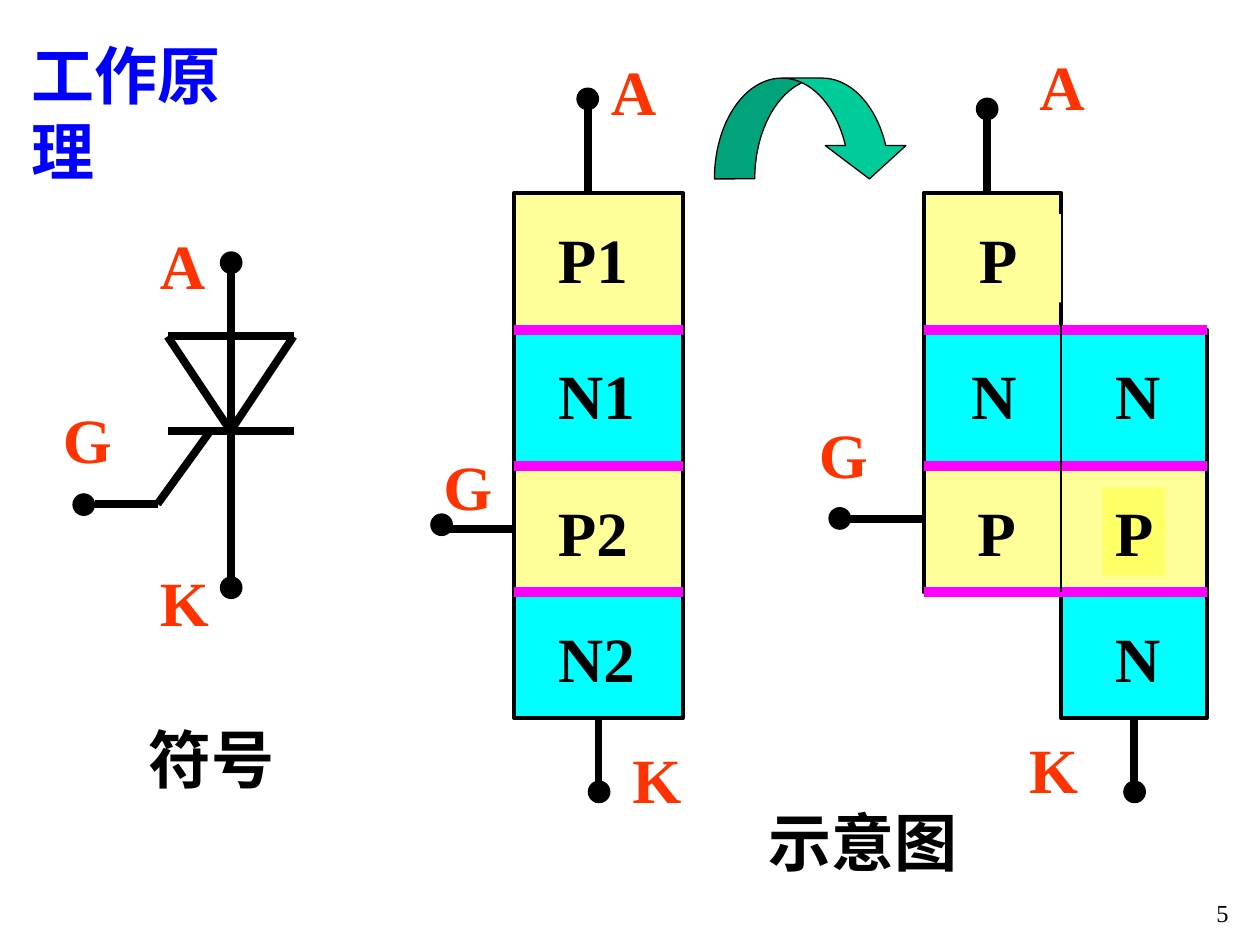
from pptx import Presentation
from pptx.dml.color import RGBColor
from pptx.enum.shapes import MSO_CONNECTOR, MSO_SHAPE
from pptx.enum.text import MSO_ANCHOR, PP_ALIGN
from pptx.oxml.ns import qn
from pptx.util import Inches, Pt
from lxml.etree import SubElement

FONT = "Times New Roman"
BLACK, RED, BLUE = "000000", "FF3300", "0000FF"
YELLOW, BRIGHT_YELLOW, CYAN = "FFFF99", "FFFF66", "00FFFF"
MAGENTA, GREEN = "FF00FF", "00CC99"
DOT_SIZE = 0.17
TEXT_HEIGHT = 0.7
LAYER_EDGES = [1.53, 2.62, 3.7, 4.7, 5.7]
LABEL_TOPS = [1.7, 2.78, 3.87, 4.87]


def rgb(color):
    return RGBColor.from_string(color)


def inches(*values):
    return [Inches(v) for v in values]


def write(sp, text, color, size=36, bold=True, wrap=False, align=PP_ALIGN.LEFT):
    tf = sp.text_frame
    tf.text = text
    tf.word_wrap = wrap
    tf.vertical_anchor = MSO_ANCHOR.TOP
    p = tf.paragraphs[0]
    p.alignment = align
    font = p.runs[0].font
    font.name, font.size, font.bold = FONT, Pt(size), bold
    font.color.rgb = rgb(color)


def add_text(shapes, text, left, top, width, color=BLACK, fill=None):
    sp = shapes.add_textbox(*inches(left, top, width, TEXT_HEIGHT))
    if fill:
        sp.fill.solid()
        sp.fill.fore_color.rgb = rgb(fill)
    write(sp, text, color)


def add_terminal_names(shapes, places):
    for name, left, top in places:
        add_text(shapes, name, left, top, 0.59, RED)


def add_line(shapes, x1, y1, x2, y2, color=BLACK, width=4.5):
    line = shapes.add_connector(MSO_CONNECTOR.STRAIGHT, *inches(x1, y1, x2, y2))
    line.line.color.rgb = rgb(color)
    line.line.width = Pt(width)
    SubElement(line._element.spPr, qn("a:effectLst"))


def add_filled(shapes, kind, left, top, width, height, fill, line_width=0.75):
    sp = shapes.add_shape(kind, *inches(left, top, width, height))
    sp.shadow.inherit = False
    sp.fill.solid()
    sp.fill.fore_color.rgb = rgb(fill)
    sp.line.color.rgb = rgb(BLACK)
    sp.line.width = Pt(line_width)
    return sp


def add_dots(shapes, places):
    for left, top in places:
        add_filled(shapes, MSO_SHAPE.OVAL, left, top, DOT_SIZE, DOT_SIZE, BLACK)


def add_layers(shapes, spans, junction_left, junction_right):
    """Stack alternating P and N layers, with a junction line between each pair."""
    for i, (left, right) in enumerate(spans):
        top, bottom = LAYER_EDGES[i:i + 2]
        add_filled(shapes, MSO_SHAPE.RECTANGLE, left, top, right - left,
                   bottom - top, (YELLOW, CYAN)[i % 2], 2.25)
    for y in LAYER_EDGES[1:-1]:
        add_line(shapes, junction_left, y, junction_right, y, MAGENTA, 6)


def draw_symbol(shapes):
    left, mid, right, top, bottom = 1.33, 1.83, 2.33, 2.67, 3.42
    for ends in [(left, top, right, top), (left, top, mid, bottom),
                 (mid, bottom, right, top), (left, bottom, right, bottom),
                 (mid, 2.08, mid, 4.67), (1.67, bottom, 1.25, 4),
                 (0.75, 4, 1.25, 4)]:
        add_line(shapes, *ends)
    add_dots(shapes, [(1.75, 2), (1.75, 4.58), (0.58, 3.92)])
    add_terminal_names(shapes, [("A", 1.17, 1.75), ("K", 1.17, 4.42),
                                ("G", 0.4, 3.13)])


def draw_four_layers(shapes):
    left, right = 4.08, 5.42
    add_layers(shapes, [(left, right)] * 4, left, right)
    for name, top in zip(["P1", "N1", "P2", "N2"], LABEL_TOPS):
        add_text(shapes, name, 4.33, top, 0.81)
    for ends in [(4.67, 1.53, 4.67, 0.78), (4.75, 5.7, 4.75, 6.37),
                 (left, 4.2, 3.5, 4.2)]:
        add_line(shapes, *ends)
    add_dots(shapes, [(3.42, 4.08), (4.67, 6.2), (4.58, 0.7)])
    add_terminal_names(shapes, [("A", 4.75, 0.37), ("G", 3.42, 3.5),
                                ("K", 4.92, 5.83)])


def draw_split_layers(shapes):
    left, split, right = 7.33, 8.42, 9.58
    add_layers(shapes, [(left, split), (left, right), (left, right),
                        (split, right)], left, right)
    p1, n1, p2, n2 = LABEL_TOPS
    for name, x, top, width, fill in [
            ("P", 7.67, p1, 0.75, YELLOW), ("N", 7.61, n1, 0.56, CYAN),
            ("P", 7.66, p2, 0.5, YELLOW), ("N", 8.75, n1, 0.56, None),
            ("P", 8.75, p2, 0.5, BRIGHT_YELLOW), ("N", 8.75, n2, 0.56, CYAN)]:
        add_text(shapes, name, x, top, width, fill=fill)
    add_line(shapes, split, 2.53, split, 4.7, width=0.75)
    for ends in [(7.83, 1.53, 7.83, 0.87), (9, 5.7, 9, 6.28),
                 (left, 4.12, 6.67, 4.12)]:
        add_line(shapes, *ends)
    add_dots(shapes, [(8.92, 6.2), (6.58, 4.03), (7.75, 0.78)])
    add_terminal_names(shapes, [("A", 8.15, 0.33), ("G", 6.4, 3.25),
                                ("K", 8.07, 5.75)])


def add_title(s, text):
    title = s.shapes.title
    title.left, title.top, title.width, title.height = inches(
        0.15, 0.24, 2.2, TEXT_HEIGHT)
    write(title, text, BLUE)


def add_curved_arrow(shapes):
    sp = add_filled(shapes, MSO_SHAPE.CURVED_DOWN_ARROW, 5.67, 0.62, 1.55, 0.8, GREEN)
    for i, value in enumerate([0.4, 0.8, 0.33]):
        sp.adjustments[i] = value


def add_page_number(shapes, number):
    sp = shapes.add_textbox(*inches(7.77, 7.08, 2.08, 0.5))
    write(sp, number, BLACK, 14, False, True, PP_ALIGN.RIGHT)


def main():
    prs = Presentation()
    prs.slide_width, prs.slide_height = inches(10, 7.5)
    s = prs.slides.add_slide(prs.slide_layouts[5])
    add_title(s, "工作原理")
    for draw in (draw_symbol, draw_four_layers, draw_split_layers):
        draw(s.shapes.add_group_shape().shapes)
    add_curved_arrow(s.shapes)
    add_text(s.shapes, "符号", 1.08, 5.67, 1.25)
    add_text(s.shapes, "示意图", 6, 6.33, 1.83)
    add_page_number(s.shapes, "5")
    prs.save("out.pptx")


if __name__ == "__main__":
    main()
